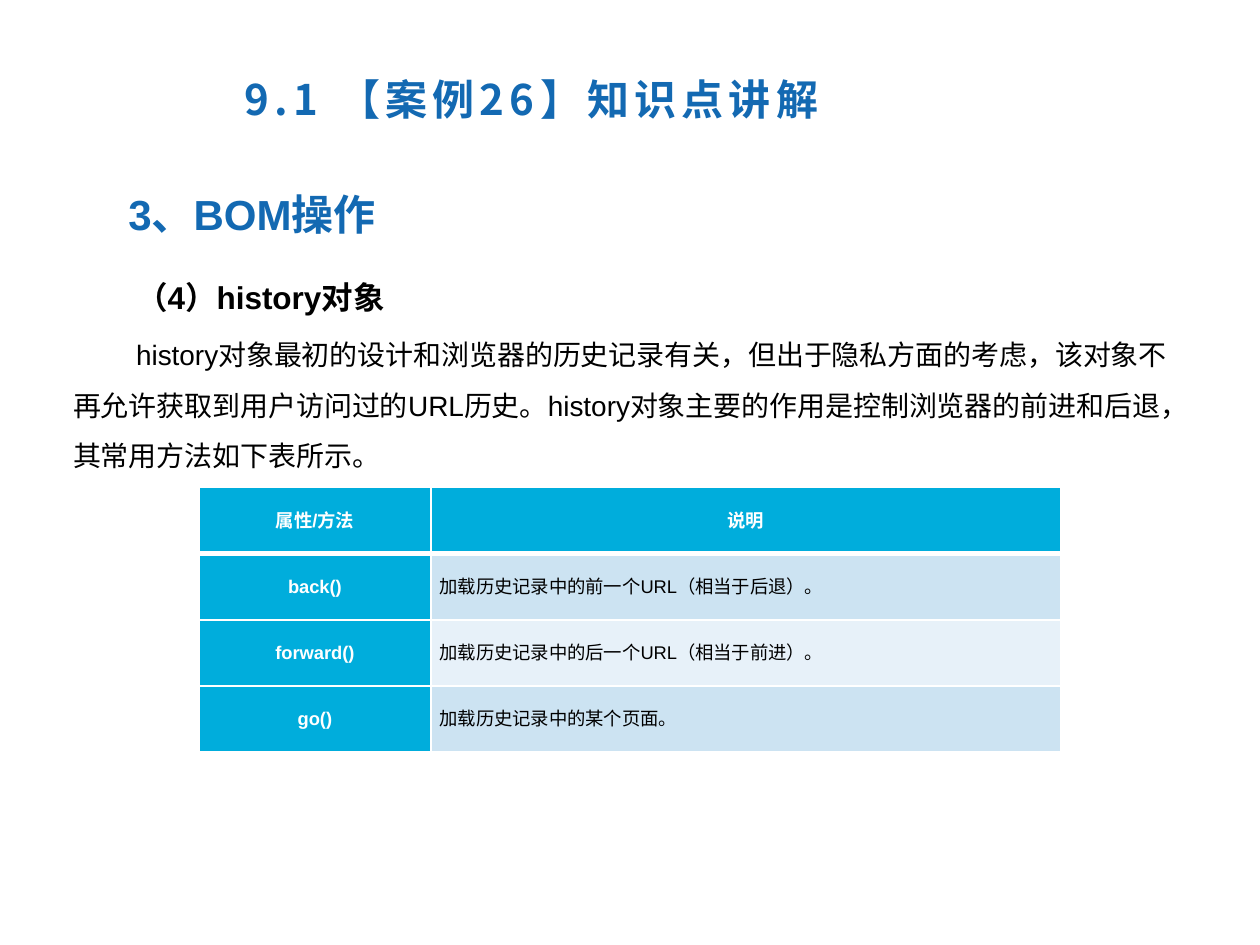
from lxml import etree
from pptx import Presentation, util as u
from pptx.dml.color import RGBColor
from pptx.enum import text
from pptx.oxml import ns

BLUE, CYAN, WHITE, BLACK = "1369B2", "00ADDC", "FFFFFF", "000000"
BANDS = ("CCE3F2", "E7F1F9")
SANS, CJK = "Arial", "Noto Sans CJK SC"


def color(value):
    return RGBColor.from_string(value)


class SlideBuilder:
    columns, rows = 100, 75

    def __init__(self, presentation):
        self.width = presentation.slide_width
        self.height = presentation.slide_height
        self.slide = presentation.slides.add_slide(presentation.slide_layouts[1])

    def box(self, left, top, width, height):
        column, row = self.width / self.columns, self.height / self.rows
        return [u.Emu(round(n * unit)) for n, unit in
                zip((left, top, width, height), (column, row, column, row))]

    def place(self, shape, at):
        shape.left, shape.top, shape.width, shape.height = self.box(*at)
        frame = shape.text_frame
        frame.word_wrap = True
        frame.auto_size = text.MSO_AUTO_SIZE.NONE
        frame.vertical_anchor = text.MSO_ANCHOR.TOP
        return frame

    def run(self, paragraph, words, size, fill, bold=True, font=SANS, spacing=0):
        run = paragraph.add_run()
        run.text = words
        run.font.size, run.font.bold, run.font.name = u.Pt(size), bold, font
        run.font.color.rgb = color(fill)
        properties = run.font._element
        etree.SubElement(properties, ns.qn("a:ea"), typeface=font)
        if spacing:
            properties.set("spc", str(spacing * 100))

    def indent(self, paragraph):
        properties = paragraph._p.get_or_add_pPr()
        properties.set("marL", "0")
        properties.set("indent", str(u.Inches(0.5)))
        etree.SubElement(properties, ns.qn("a:buNone"))

    def title(self, at, words):
        paragraph = self.place(self.slide.shapes.title, at).paragraphs[0]
        paragraph.alignment = text.PP_ALIGN.LEFT
        self.run(paragraph, words, 24, BLUE, font=CJK, spacing=3)

    def heading(self, at, words):
        frame = self.place(self.slide.shapes.add_textbox(*self.box(*at)), at)
        self.indent(frame.paragraphs[0])
        self.run(frame.paragraphs[0], words, 24, BLUE)

    def body(self, at, items):
        frame = self.place(self.slide.placeholders[1], at)
        for index, (words, size, bold, spacing) in enumerate(items):
            paragraph = frame.add_paragraph() if index else frame.paragraphs[0]
            paragraph.line_spacing = spacing
            paragraph.space_before = u.Pt(size * 0.2)
            self.indent(paragraph)
            self.run(paragraph, words, size, BLACK, bold)

    def border(self, cell, side, points):
        line = etree.SubElement(cell._tc.get_or_add_tcPr(), ns.qn("a:ln" + side),
                                w=str(u.Pt(points)))
        fill = etree.SubElement(line, ns.qn("a:solidFill"))
        etree.SubElement(fill, ns.qn("a:srgbClr"), val=WHITE)

    def table(self, at, widths, records):
        table = self.slide.shapes.add_table(
            len(records), len(widths), *self.box(*at)).table
        for column, width in zip(table.columns, widths):
            column.width = self.box(0, 0, width, 0)[2]
        for r, record in enumerate(records):
            for c, words in enumerate(record):
                cell = table.cell(r, c)
                strong = r == 0 or c == 0
                cell.margin_left = cell.margin_right = u.Inches(0.07)
                cell.margin_top = cell.margin_bottom = 0
                cell.vertical_anchor = text.MSO_ANCHOR.MIDDLE
                for side in "LRTB":
                    under_header = (r, side) in ((0, "B"), (1, "T"))
                    self.border(cell, side, 3 if under_header else 1)
                cell.fill.solid()
                cell.fill.fore_color.rgb = color(CYAN if strong else BANDS[(r - 1) % 2])
                paragraph = cell.text_frame.paragraphs[0]
                paragraph.alignment = text.PP_ALIGN.CENTER if strong else text.PP_ALIGN.LEFT
                self.run(paragraph, words, 10.5, WHITE if strong else BLACK, strong)


def main():
    presentation = Presentation()
    presentation.slide_width, presentation.slide_height = u.Inches(10), u.Inches(7.5)
    builder = SlideBuilder(presentation)
    builder.title((18.4, 5.3, 84.9, 7.9), "9.1 【案例26】知识点讲解")
    builder.body((4.8, 20.5, 90, 42.1), [
        ("（4）history对象", 18, True, 1.35),
        ("history对象最初的设计和浏览器的历史记录有关，但出于隐私方面的考虑，"
         "该对象不再允许获取到用户访问过的URL历史。history对象主要的作用是控制"
         "浏览器的前进和后退，其常用方法如下表所示。", 16, False, 1.5),
    ])
    builder.heading((4.2, 14.5, 71.6, 5), "3、BOM操作")
    builder.table((15.8, 38.7, 68.4, 21), (18.4, 50), [
        ("属性/方法", "说明"),
        ("back()", "加载历史记录中的前一个URL（相当于后退）。"),
        ("forward()", "加载历史记录中的后一个URL（相当于前进）。"),
        ("go()", "加载历史记录中的某个页面。"),
    ])
    presentation.save("out.pptx")


if __name__ == "__main__":
    main()
